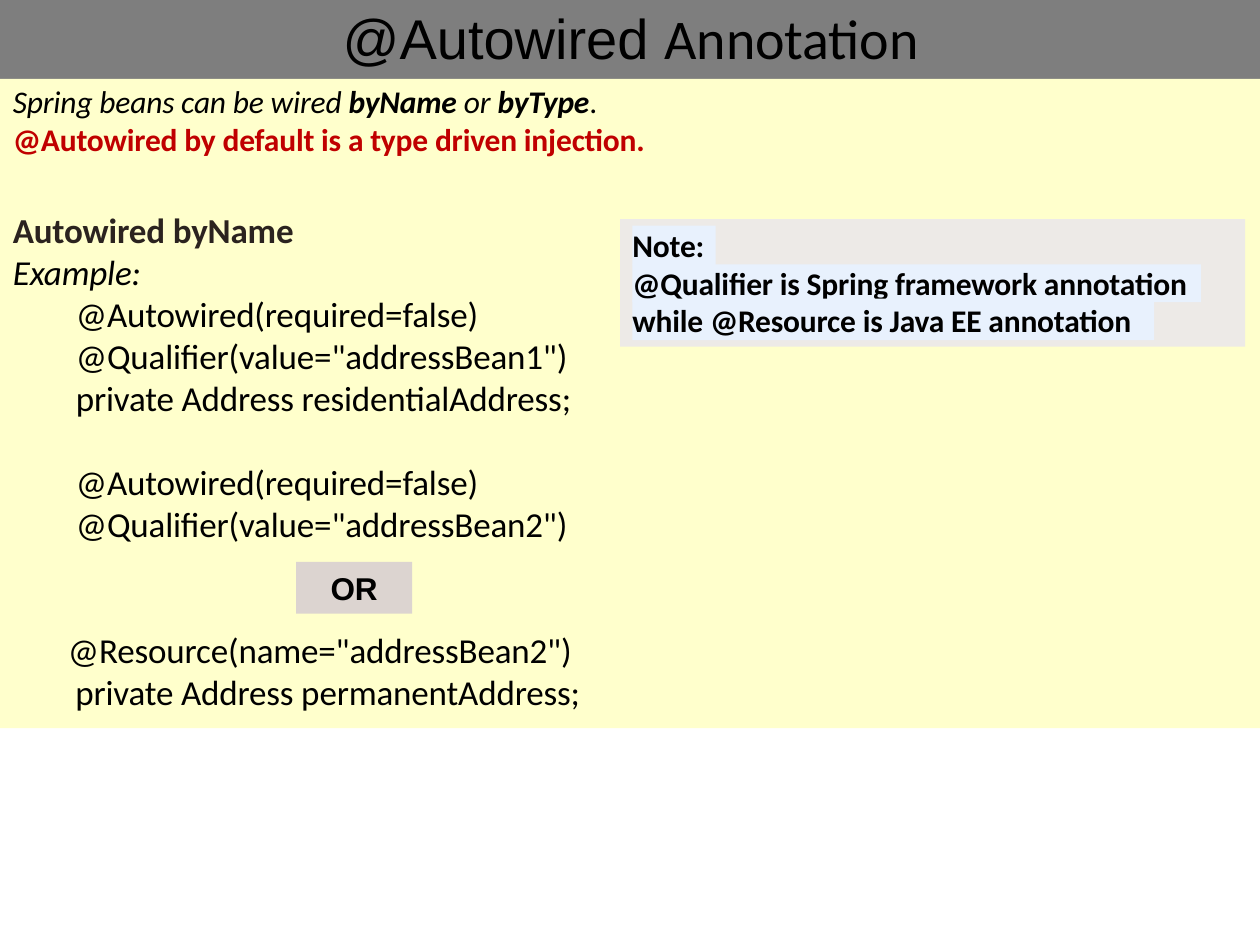
from collections import namedtuple
from dataclasses import dataclass

from pptx import Presentation
from pptx.dml.color import RGBColor
from pptx.enum.shapes import MSO_SHAPE
from pptx.enum.text import MSO_ANCHOR, MSO_AUTO_SIZE, PP_ALIGN
from pptx.util import Cm, Pt

Box = namedtuple("Box", "x y w h")
Run = namedtuple("Run", "text bold slant", defaults=(False, False))


@dataclass(frozen=True)
class Theme:
    """Colours, fonts and type sizes of the slide."""
    band: str = "7E7E7E"
    panel: str = "FFFFCC"
    note: str = "EDEAE7"
    mark: str = "E8F1FD"
    badge: str = "DCD4D0"
    ink: str = "000000"
    red: str = "C00000"
    brown: str = "2B231F"
    sans: str = "Arial"
    text: str = "Calibri"
    title: int = 32
    code: int = 20
    body: int = 18
    tight: int = -10


THEME = Theme()


def inside(box, x, y, w, h):
    """Return a box given relative to the corner of another."""
    return Box(box.x + x, box.y + y, w, h)


def place(shape, box):
    """Move and size a shape in centimetres."""
    shape.left, shape.top, shape.width, shape.height = map(Cm, box)


def add_rect(slide, box, color):
    """Add a plain filled rectangle."""
    rect = slide.shapes.add_shape(MSO_SHAPE.RECTANGLE, *map(Cm, box))
    rect.shadow.inherit = False
    rect.fill.solid()
    rect.fill.fore_color.rgb = RGBColor.from_string(color)
    rect.line.fill.background()
    return rect


def setup(shape, anchor, wrap=True):
    """Clear the margins of a text frame and return it."""
    frame = shape.text_frame
    frame.auto_size = MSO_AUTO_SIZE.NONE
    frame.word_wrap = wrap
    frame.vertical_anchor = anchor
    frame.margin_left = frame.margin_right = frame.margin_bottom = 0
    frame.margin_top = Cm(0.03) if anchor == MSO_ANCHOR.TOP else 0
    return frame


def add_run(para, run, size, color=THEME.ink, face=THEME.text):
    """Add one formatted run to a paragraph."""
    part = para.add_run()
    part.text = run.text
    font = part.font
    font.name, font.size = face, Pt(size)
    font.bold, font.italic = run.bold, run.slant
    font.color.rgb = RGBColor.from_string(color)
    if face == THEME.text:
        font._element.set("spc", str(THEME.tight))


def add_lines(slide, box, size, lines):
    """Add a text box from lines of indent, colour and runs."""
    frame = setup(slide.shapes.add_textbox(*map(Cm, box)), MSO_ANCHOR.TOP)
    for row, (indent, color, runs) in enumerate(lines):
        para = frame.add_paragraph() if row else frame.paragraphs[0]
        para._p.get_or_add_pPr().set("marL", str(Cm(indent)))
        for run in runs:
            add_run(para, run, size, color)


def add_title(slide, box):
    """Draw the title band with the title placeholder on it."""
    band = add_rect(slide, box, THEME.band)
    title = slide.shapes.title
    title._element.addprevious(band._element)
    place(title, inside(box, 6.58, 0.03, 12.27, 1.42))
    para = setup(title, MSO_ANCHOR.MIDDLE, False).paragraphs[0]
    para.alignment = PP_ALIGN.CENTER
    add_run(para, Run("@Autowired "), THEME.title, face=THEME.sans)
    add_run(para, Run("Annotation"), THEME.title)


def add_intro(slide, box):
    """Write the two opening statements."""
    add_lines(slide, box, THEME.body, [
        (0.03, THEME.ink, [
            Run("Spring beans can be wired ", False, True),
            Run("byName ", True, True), Run("or ", False, True),
            Run("byType", True, True), Run(".")]),
        (0.03, THEME.red, [
            Run("@Autowired by default is a type driven injection.", True)]),
    ])


def add_code(slide, box, *lines):
    """Write lines of code, each with its indent."""
    add_lines(slide, box, THEME.code,
              [(indent, THEME.ink, [Run(text)]) for indent, text in lines])


def add_sample(slide, box):
    """Write the heading and the first code sample."""
    add_lines(slide, box, THEME.code, [
        (0.03, THEME.brown, [Run("Autowired byName", True)]),
        (0.03, THEME.ink, [Run("Example:", False, True)]),
        *((1.3, THEME.ink, [Run(text)]) for text in (
            "@Autowired(required=false)",
            '@Qualifier(value="addressBean1")',
            "private Address residentialAddress;")),
    ])


def add_badge(slide, box):
    """Draw the badge between the two alternatives."""
    frame = setup(add_rect(slide, box, THEME.badge), MSO_ANCHOR.MIDDLE)
    para = frame.paragraphs[0]
    para.alignment = PP_ALIGN.CENTER
    add_run(para, Run("OR", True), THEME.body, face=THEME.sans)


def add_note(slide, box):
    """Draw the note with one marked strip for each line."""
    add_rect(slide, box, THEME.note)
    for y, w, h, text in (
            (0.13, 1.68, 0.79, "Note:"),
            (0.91, 11.46, 0.76,
             "@Qualifier is Spring framework annotation"),
            (1.6, 10.52, 0.84, "while @Resource is Java EE annotation")):
        strip = add_rect(slide, inside(box, 0.25, y, w, h), THEME.mark)
        para = setup(strip, MSO_ANCHOR.MIDDLE, False).paragraphs[0]
        para.alignment = PP_ALIGN.LEFT
        add_run(para, Run(text, True), THEME.body)


def add_panel(slide, box):
    """Draw the yellow panel and everything on it."""
    add_rect(slide, box, THEME.panel)
    add_intro(slide, inside(box, 0.23, 0.04, 14.45, 2.34))
    add_sample(slide, inside(box, 0.23, 2.58, 11.46, 4.32))
    add_code(slide, inside(box, 1.5, 7.66, 10.11, 1.78),
             (0.03, "@Autowired(required=false)"),
             (0.03, '@Qualifier(value="addressBean2")'))
    add_code(slide, inside(box, 1.32, 11.06, 10.54, 1.78),
             (0.05, '@Resource(name="addressBean2")'),
             (0.2, "private Address permanentAddress;"))
    add_badge(slide, inside(box, 5.97, 9.74, 2.34, 1.04))
    add_note(slide, inside(box, 12.5, 2.83, 12.6, 2.57))


def main():
    """Build and save the slide."""
    deck = Presentation()
    deck.slide_width, deck.slide_height = Cm(25.4), Cm(19.05)
    slide = deck.slides.add_slide(deck.slide_layouts[5])
    add_title(slide, Box(0, 0, 25.4, 1.59))
    add_panel(slide, Box(0, 1.59, 25.4, 13.09))
    deck.save("out.pptx")


if __name__ == "__main__":
    main()
